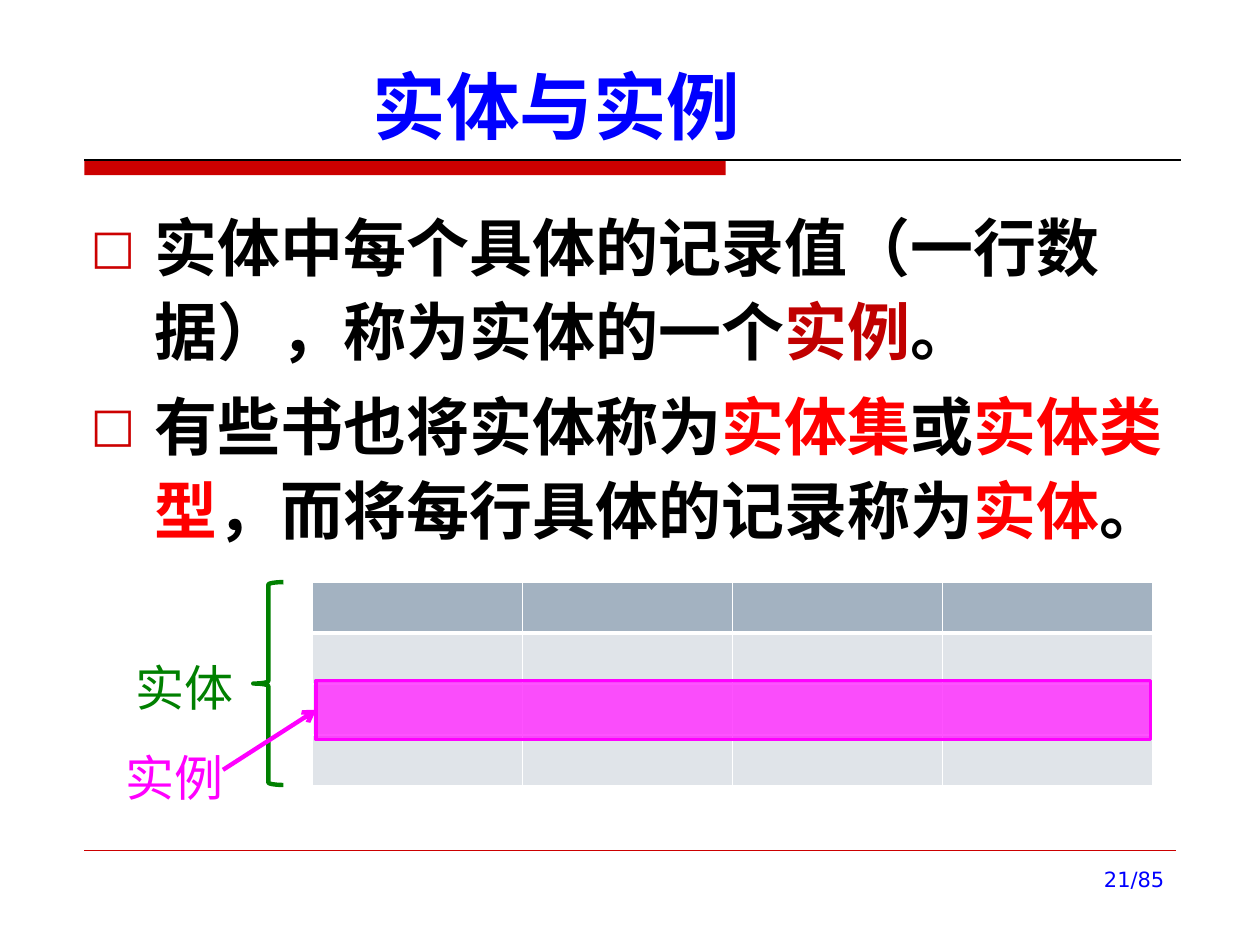
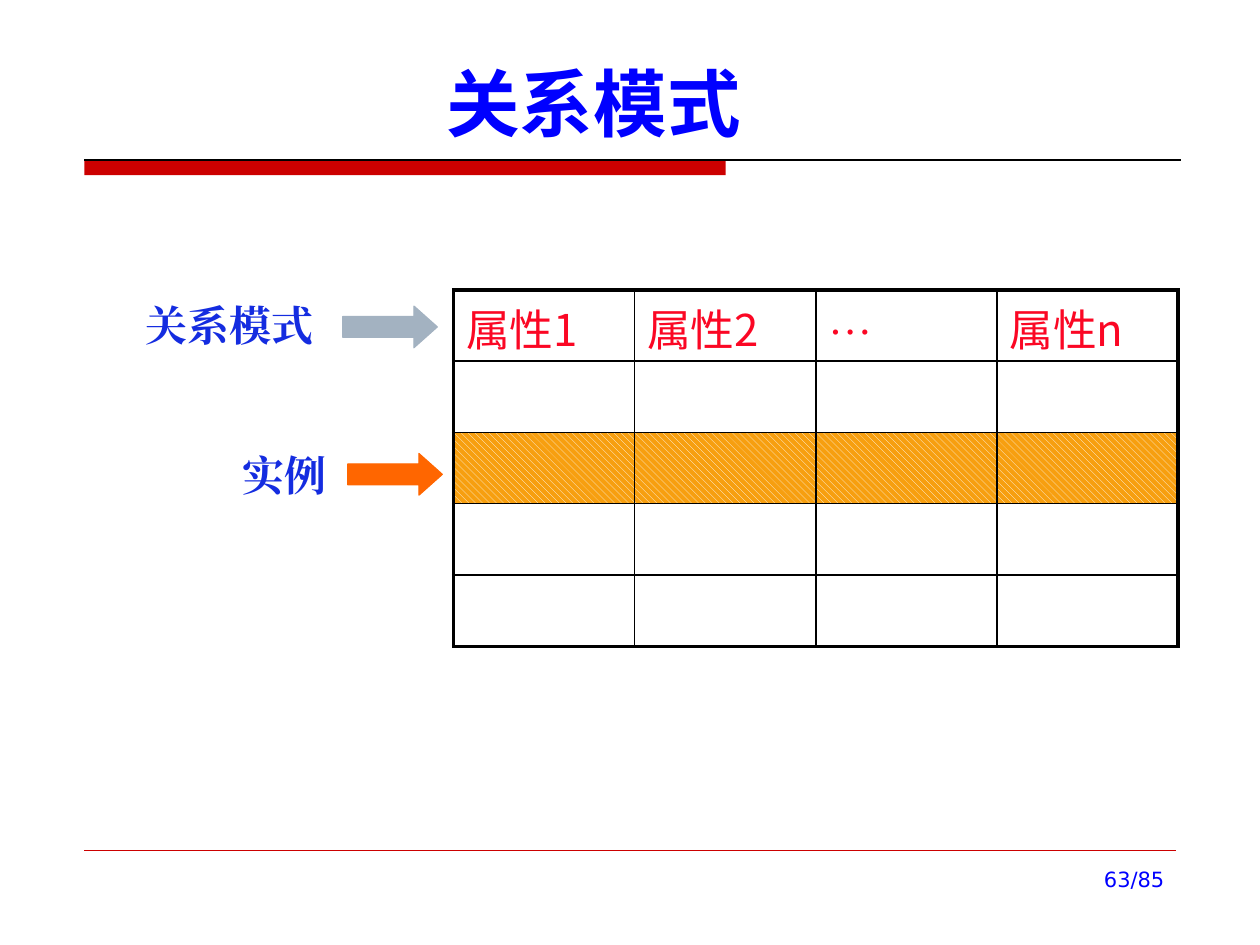
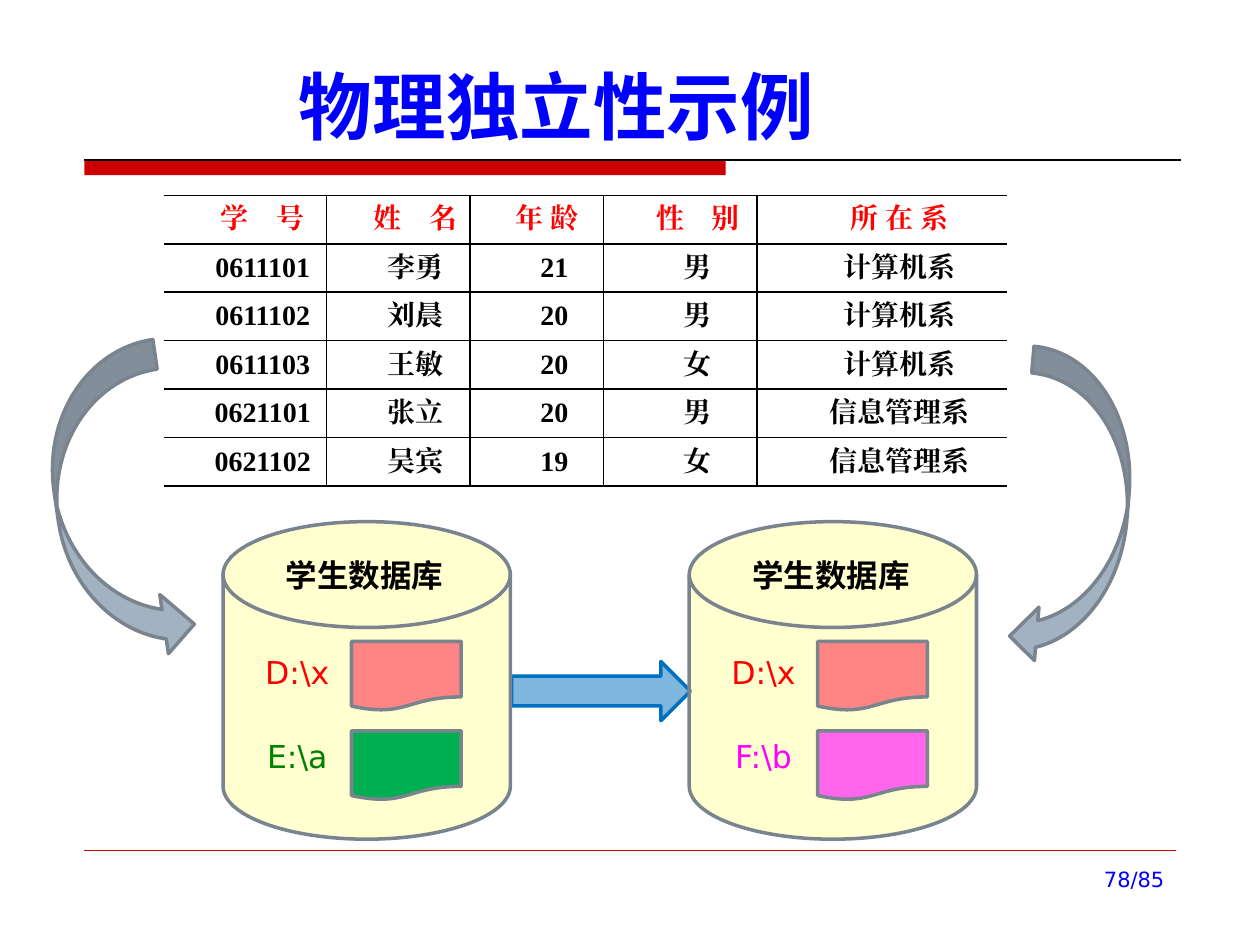
from lxml import etree
from pptx import Presentation
from pptx.dml.color import RGBColor
from pptx.enum.dml import MSO_PATTERN
from pptx.enum.shapes import MSO_CONNECTOR, MSO_SHAPE
from pptx.enum.text import MSO_ANCHOR as Anchor, PP_ALIGN as Align
from pptx.oxml.ns import qn
from pptx.shapes.connector import Connector
from pptx.util import Inches, Pt

WHITE = RGBColor(0xFF, 0xFF, 0xFF)
BLACK = RGBColor(0, 0, 0)
BLUE = RGBColor(0, 0, 0xFF)
LABEL_BLUE = RGBColor(0x14, 0x2C, 0xE0)
ARROW_BLUE = RGBColor(0, 0x70, 0xC0)
BAND_RED = RGBColor(0xCC, 0, 0)
DARK_RED = RGBColor(0xC0, 0, 0)
RED = RGBColor(0xFF, 0, 0)
ATTRIBUTE_RED = RGBColor(0xFB, 0x07, 0x24)
PINK = RGBColor(0xFF, 0x85, 0x85)
MAGENTA = RGBColor(0xFF, 0, 0xFF)
ORANGE = RGBColor(0xFF, 0x66, 0)
AMBER = RGBColor(0xF7, 0x9F, 0x0F)
YELLOW = RGBColor(0xFF, 0xFF, 0)
GREEN = RGBColor(0, 0x80, 0)
FILE_GREEN = RGBColor(0, 0xB0, 0x50)
STEEL = RGBColor(0xA3, 0xB2, 0xC1)
STEEL_LINE = RGBColor(0x79, 0x84, 0x8F)
PALE = RGBColor(0xE0, 0xE4, 0xE9)
PALER = RGBColor(0xF0, 0xF2, 0xF4)

HEITI = "Noto Sans CJK SC"
GOTHIC = "Noto Sans CJK JP"
SANS = "DejaVu Sans"
SERIF = "Times New Roman"


def write(frame, text, size, font, color, bold=False, align=Align.LEFT, anchor=Anchor.TOP):
    frame.word_wrap = True
    frame.vertical_anchor = anchor
    paragraph = frame.paragraphs[0]
    paragraph.text = text
    paragraph.alignment = align
    paragraph.font.size = Pt(size)
    paragraph.font.bold = bold
    paragraph.font.name = font
    paragraph.font.color.rgb = color
    defaults = paragraph._p.pPr.find(qn("a:defRPr"))
    etree.SubElement(defaults, qn("a:ea"), typeface=font)
    return paragraph


def add_figure(shapes, kind, box, fill, line=None, width=2, opacity=100):
    shape = shapes.add_shape(kind, *map(Inches, box))
    shape.shadow.inherit = False
    if fill is None:
        shape.fill.background()
    else:
        shape.fill.solid()
        shape.fill.fore_color.rgb = fill
    if line is None:
        shape.line.fill.background()
    else:
        shape.line.color.rgb = line
        shape.line.width = Pt(width)
    if opacity < 100:
        color = shape._element.spPr.find(qn("a:solidFill"))[0]
        etree.SubElement(color, qn("a:alpha"), val=str(opacity * 1000))
    return shape


presentation = Presentation()
presentation.slide_width = Inches(10)
presentation.slide_height = Inches(7.5)

TITLE_BOX = (0.63, 0.33, 7.57, 0.9)
pages = [
    ("实体与实例", TITLE_BOX, "21/85"),
    ("关系模式", (0, 0.13, 9.42, 1.08), "63/85"),
    ("物理独立性示例", TITLE_BOX, "78/85"),
]
for title, title_box, number in pages:
    slide = presentation.slides.add_slide(presentation.slide_layouts[6])
    add_figure(slide.shapes, MSO_SHAPE.RECTANGLE, (0.67, 1.27, 5.09, 0.12), BAND_RED)
    for right, top, color, width in [(9.37, 1.27, BLACK, 0.75), (9.33, 6.75, BAND_RED, 0.25)]:
        rule = slide.shapes.add_connector(
            MSO_CONNECTOR.STRAIGHT, Inches(0.67), Inches(top), Inches(right), Inches(top))
        rule.line.color.rgb = color
        rule.line.width = Pt(width)
    title_frame = slide.shapes.add_textbox(*map(Inches, title_box)).text_frame
    write(title_frame, title, 42, HEITI, BLUE, True, Align.CENTER, Anchor.BOTTOM)
    number_box = slide.shapes.add_textbox(Inches(7.17), Inches(6.83), Inches(2.17), Inches(0.52))
    write(number_box.text_frame, number, 12, SANS, BLUE, align=Align.RIGHT)

entity_slide, schema_slide, storage_slide = presentation.slides

shapes = entity_slide.shapes
points = [
    [("实体中每个具体的记录值（一行数据），称为实体的一个", BLACK), ("实例", DARK_RED), ("。", BLACK)],
    [("有些书也将实体称为", BLACK), ("实体集", RED), ("或", BLACK), ("实体类型", RED),
     ("，而将每行具体的记录称为", BLACK), ("实体", RED), ("。", BLACK)],
]
body = shapes.add_textbox(Inches(0.62), Inches(1.55), Inches(8.75), Inches(3)).text_frame
write(body, "", 36, HEITI, BLACK, True)
body.add_paragraph()
for paragraph, runs in zip(body.paragraphs, points):
    paragraph.line_spacing = 1.1
    paragraph.space_before = Pt(7.2)
    paragraph.font.size = Pt(36)
    paragraph.font.bold = True
    properties = paragraph._p.pPr
    properties.set("marL", str(Inches(0.51)))
    properties.set("indent", str(-Inches(0.51)))
    bullet_color = etree.Element(qn("a:buClr"))
    etree.SubElement(bullet_color, qn("a:srgbClr"), val=str(BAND_RED))
    for element in (bullet_color,
                    etree.Element(qn("a:buSzPct"), val="75000"),
                    etree.Element(qn("a:buFont"), typeface=SANS),
                    etree.Element(qn("a:buChar"), char="□")):
        properties.find(qn("a:defRPr")).addprevious(element)
    for text, color in runs:
        run = paragraph.add_run()
        run.text = text
        run.font.color.rgb = color
        run.font.name = HEITI
        etree.SubElement(run._r.rPr, qn("a:ea"), typeface=HEITI)

entity_table = shapes.add_table(4, 4, Inches(2.48), Inches(4.62), Inches(6.67), Inches(1.62)).table
add_figure(shapes, MSO_SHAPE.LEFT_BRACE, (2.01, 4.62, 0.24, 1.61), None, GREEN, 2.5)
instance_row = add_figure(
    shapes, MSO_SHAPE.RECTANGLE, (2.51, 5.4, 6.62, 0.47), MAGENTA, MAGENTA, opacity=68)
pointer = shapes.add_connector(
    MSO_CONNECTOR.STRAIGHT, Inches(1.77), Inches(6.11), Inches(2.51), Inches(5.64))
pointer.end_connect(instance_row, 1)
pointer.line.color.rgb = MAGENTA
pointer.line.width = Pt(2.5)
etree.SubElement(pointer._element.spPr.find(qn("a:ln")), qn("a:tailEnd"), type="arrow")
for text, left, top, color in [("实体", 0.98, 5.17, GREEN), ("实例", 0.9, 5.88, MAGENTA)]:
    label = shapes.add_textbox(Inches(left), Inches(top), Inches(1.02), Inches(0.57))
    write(label.text_frame, text, 28, GOTHIC, color)

shapes = schema_slide.shapes
labels = [
    ("关系模式", (1.06, 2.33, 1.81, 0.55), (2.72, 2.43), STEEL),
    ("实例", (1.83, 3.52, 1.02, 0.62), (2.76, 3.6), ORANGE),
]
for text, box, arrow_corner, color in labels:
    label = add_figure(shapes, MSO_SHAPE.RECTANGLE, box, WHITE)
    write(label.text_frame, text, 24, SERIF, LABEL_BLUE, True, Align.JUSTIFY)
    arrow = add_figure(shapes, MSO_SHAPE.RIGHT_ARROW, (*arrow_corner, 0.75, 0.33), color, color, 0.75)
    arrow.adjustments[1] = 0.56
schema_table = shapes.add_table(5, 4, Inches(3.6), Inches(2.3), Inches(5.75), Inches(2.83)).table
for column, text in enumerate(["属性1", "属性2", "…", "属性n"]):
    font = SERIF if text == "…" else GOTHIC
    paragraph = write(schema_table.cell(0, column).text_frame, text, 25, font, ATTRIBUTE_RED)
    paragraph.space_before = Pt(5)

shapes = storage_slide.shapes
students = [
    ("学　号", "姓　名", "年 龄", "性　别", "所 在 系"),
    ("0611101", "李勇", "21", "男", "计算机系"),
    ("0611102", "刘晨", "20", "男", "计算机系"),
    ("0611103", "王敏", "20", "女", "计算机系"),
    ("0621101", "张立", "20", "男", "信息管理系"),
    ("0621102", "吴宾", "19", "女", "信息管理系"),
]
student_table = shapes.add_table(6, 5, Inches(1.3), Inches(1.55), Inches(6.69), Inches(2.31)).table
for column, width in zip(student_table.columns, [1.29, 1.14, 1.06, 1.22, 1.98]):
    column.width = Inches(width)
for row, record in enumerate(students):
    for column, text in enumerate(record):
        cell = student_table.cell(row, column)
        cell.margin_left = cell.margin_right = Inches(0.08)
        cell.margin_top = cell.margin_bottom = 0
        cell.vertical_anchor = Anchor.MIDDLE
        align = Align.LEFT if text == "年 龄" else Align.CENTER
        paragraph = write(cell.text_frame, text, 16, SERIF, BLACK if row else RED, True,
                          align, Anchor.MIDDLE)
        paragraph.space_before = paragraph.space_after = Pt(2.4)
        paragraph._p.pPr.set("indent", str(Inches(0.28)))

add_figure(shapes, MSO_SHAPE.RIGHT_ARROW, (4.06, 5.25, 1.42, 0.47), ARROW_BLUE, ARROW_BLUE, opacity=50)
databases = [
    (1.77, ("E:\\a", GREEN, FILE_GREEN, 100)),
    (5.47, ("F:\\b", MAGENTA, MAGENTA, 60)),
]
for left, second_file in databases:
    group = shapes.add_group_shape().shapes
    add_figure(group, MSO_SHAPE.FLOWCHART_MAGNETIC_DISK, (left, 4.14, 2.28, 2.52),
               YELLOW, STEEL_LINE, opacity=19)
    files = [("D:\\x", RED, PINK, 100), second_file]
    for (name, color, fill, opacity), top, name_top in zip(files, (5.09, 5.8), (5.14, 5.8)):
        add_figure(group, MSO_SHAPE.FLOWCHART_DOCUMENT, (left + 1.02, top, 0.87, 0.55),
                   fill, STEEL_LINE, opacity=opacity)
        file_name = group.add_textbox(
            Inches(left + 0.16), Inches(name_top), Inches(0.86), Inches(0.39))
        write(file_name.text_frame, name, 18, SANS, color, False, Align.CENTER, Anchor.MIDDLE)
    caption = group.add_textbox(Inches(left + 0.34), Inches(4.29), Inches(1.57), Inches(0.55))
    write(caption.text_frame, "学生数据库", 18, HEITI, BLACK, True, Align.CENTER, Anchor.MIDDLE)

for box, rotation, flipped in [((0.45, 2.75, 0.95, 2.52), 351.7, False),
                               ((8.1, 2.78, 0.85, 2.52), 4.8, True)]:
    arrow = add_figure(shapes, MSO_SHAPE.CURVED_RIGHT_ARROW, box, STEEL, STEEL_LINE)
    arrow.rotation = rotation
    if flipped:
        arrow._element.spPr.find(qn("a:xfrm")).set("flipH", "1")

table_styles = [
    (entity_table, [STEEL, PALE, PALER, PALE], WHITE, 1, 1, 3),
    (schema_table, [None, None, AMBER, None, None], BLACK, 2.25, 2.25, 1),
    (student_table, [None] * 6, BLACK, 0, 1, 1),
]
for table, row_fills, color, side_width, end_width, header_width in table_styles:
    table.first_row = table.horz_banding = False
    last_row, last_column = len(table.rows) - 1, len(table.columns) - 1
    for row, fill in enumerate(row_fills):
        for column in range(last_column + 1):
            cell = table.cell(row, column)
            if fill is None:
                cell.fill.background()
            elif fill == AMBER:
                cell.fill.patterned()
                cell.fill.pattern = MSO_PATTERN.WIDE_DOWNWARD_DIAGONAL
                cell.fill.fore_color.rgb = WHITE
                cell.fill.back_color.rgb = AMBER
            else:
                cell.fill.solid()
                cell.fill.fore_color.rgb = fill
            borders = {
                "a:lnL": side_width if column == 0 else 1,
                "a:lnR": side_width if column == last_column else 1,
                "a:lnT": end_width if row == 0 else header_width if row == 1 else 1,
                "a:lnB": end_width if row == last_row else header_width if row == 0 else 1,
            }
            for position, (tag, width) in enumerate(borders.items()):
                border = etree.Element(qn(tag), w=str(Pt(width)))
                if width:
                    paint = etree.SubElement(border, qn("a:solidFill"))
                    etree.SubElement(paint, qn("a:srgbClr"), val=str(color))
                else:
                    etree.SubElement(border, qn("a:noFill"))
                cell._tc.get_or_add_tcPr().insert(position, border)

for slide in presentation.slides:
    for shape in slide.shapes:
        if isinstance(shape, Connector):
            etree.SubElement(shape._element.spPr, qn("a:effectLst"))

presentation.save("out.pptx")
